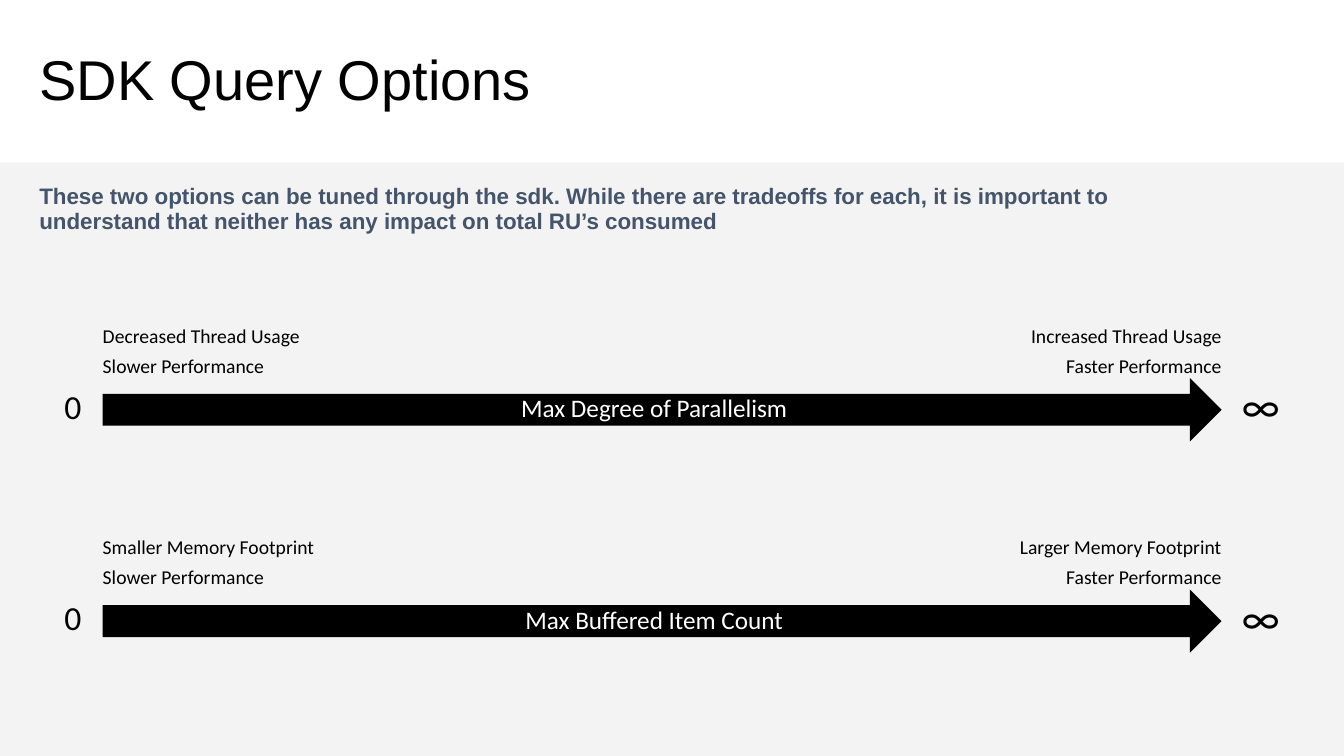
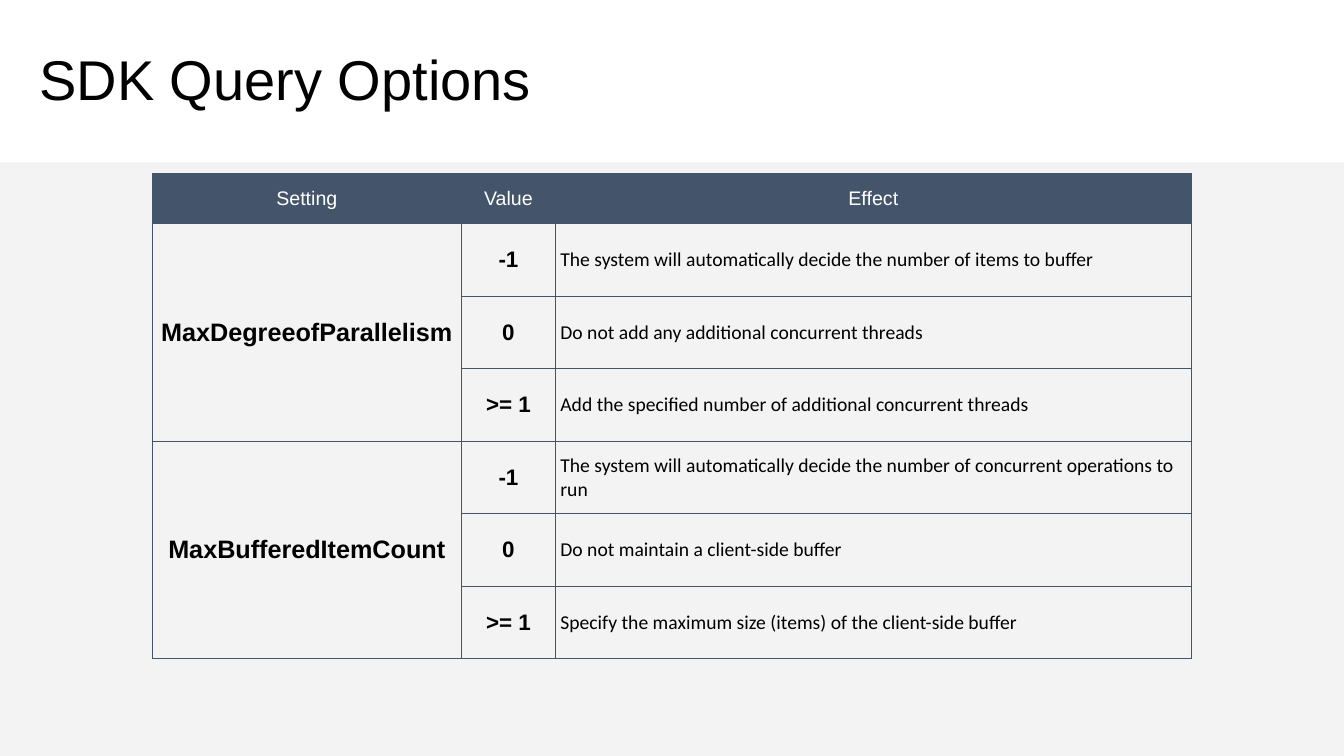
from pptx import Presentation
from pptx.dml.color import RGBColor
from pptx.enum.shapes import MSO_SHAPE
from pptx.enum.text import MSO_ANCHOR, PP_ALIGN
from pptx.oxml import parse_xml
from pptx.oxml.ns import nsdecls
from pptx.util import Pt

RECT, ARROW = MSO_SHAPE.RECTANGLE, MSO_SHAPE.RIGHT_ARROW
LEFT, MID, RIGHT = PP_ALIGN.LEFT, PP_ALIGN.CENTER, PP_ALIGN.RIGHT
TOP, CENTER = MSO_ANCHOR.TOP, MSO_ANCHOR.MIDDLE

BLACK, WHITE, SLATE, GRAY = "000000", "FFFFFF", "44546A", "F3F3F3"
HEAD, BODY = "Arial", "Calibri"
WIDE, HIGH = 960, 540
MARGIN = 21


def color(code):
    return RGBColor.from_string(code)


class Deck:
    """Holds the shared style and the current slide."""

    def __init__(self):
        self.prs = Presentation()
        self.prs.slide_width = Pt(WIDE)
        self.prs.slide_height = Pt(HIGH)
        self.slide = None

    def add(self, title):
        """Start a slide with its title and lower band."""
        self.slide = self.prs.slides.add_slide(self.prs.slide_layouts[5])
        head = self.slide.shapes.title
        head.left, head.top = Pt(MARGIN), Pt(23)
        head.width, head.height = Pt(918), Pt(71)
        self.put(head.text_frame, [title], 40, HEAD, anchor=CENTER)
        self.shape(RECT, (0, 116, WIDE, HIGH - 116), GRAY)

    def put(self, frame, lines, size, font=BODY, ink=BLACK, bold=False,
            align=LEFT, anchor=TOP, after=0, space=0.9):
        frame.word_wrap = True
        frame.vertical_anchor = anchor
        for i, line in enumerate(lines):
            para = frame.add_paragraph() if i else frame.paragraphs[0]
            para.alignment = align
            para.line_spacing = space
            para.space_before, para.space_after = Pt(0), Pt(after)
            run = para.add_run()
            run.text = line
            run.font.size, run.font.name = Pt(size), font
            run.font.bold = bold
            run.font.color.rgb = color(ink)

    def inset(self, frame, gap=0):
        frame.margin_left = frame.margin_right = Pt(gap)
        frame.margin_top = frame.margin_bottom = Pt(gap)

    def shape(self, kind, box, fill):
        shape = self.slide.shapes.add_shape(kind, *map(Pt, box))
        shape.shadow.inherit = False
        shape.fill.solid()
        shape.fill.fore_color.rgb = color(fill)
        shape.line.fill.background()
        return shape

    def text(self, box, lines, size, pad=False, **style):
        frame = self.slide.shapes.add_textbox(*map(Pt, box)).text_frame
        if not pad:
            self.inset(frame)
        self.put(frame, lines, size, **style)

    def arrow(self, box, label):
        frame = self.shape(ARROW, box, BLACK).text_frame
        self.inset(frame)
        self.put(frame, [label], 18, ink=WHITE, align=MID, anchor=CENTER)

    def table(self, left, top, cols, rows):
        """Add an empty grid from column widths and row heights."""
        grid = self.slide.shapes.add_table(
            len(rows), len(cols), Pt(left), Pt(top),
            Pt(sum(cols)), Pt(sum(rows))).table
        grid.horz_banding = False
        for col, width in zip(grid.columns, cols):
            col.width = Pt(width)
        for row, height in zip(grid.rows, rows):
            row.height = Pt(height)
        for cell in grid.iter_cells():
            cell.fill.background()
            self.border(cell)
        return grid

    def border(self, cell):
        props = cell._tc.get_or_add_tcPr()
        for i, side in enumerate("LRTB"):
            props.insert(i, parse_xml(
                f'<a:ln{side} {nsdecls("a")} w="{Pt(1)}"><a:solidFill>'
                f'<a:srgbClr val="{SLATE}"/></a:solidFill></a:ln{side}>'))

    def cell(self, cell, text, size, fill=None, **style):
        if fill:
            cell.fill.solid()
            cell.fill.fore_color.rgb = color(fill)
        self.inset(cell, 3.6)
        cell.vertical_anchor = CENTER
        self.put(cell.text_frame, [text], size, anchor=None, space=1,
                 **style)


def scales(deck):
    deck.add("SDK Query Options")
    deck.text((MARGIN, 129, 825, 60), [
        "These two options can be tuned through the sdk. While there are "
        "tradeoffs for each, it is important to understand that neither has "
        "any impact on total RU’s consumed"],
        16, pad=True, font=HEAD, ink=SLATE, bold=True)

    # Each scale: arrow label, notes at the low end, notes at the high end
    items = [
        ("Max Degree of Parallelism",
         ["Decreased Thread Usage", "Slower Performance"],
         ["Increased Thread Usage", "Faster Performance"]),
        ("Max Buffered Item Count",
         ["Smaller Memory Footprint", "Slower Performance"],
         ["Larger Memory Footprint", "Faster Performance"]),
    ]
    left, width, note = 73.4, 799.2, 212
    for i, (label, low, high) in enumerate(items):
        top = 270 + 151 * i
        deck.arrow((left, top, width, 45.4), label)
        deck.text((46, top + 8.6, 14, 26), ["0"], 24, after=6)
        deck.text((887, top + 4.4, 28, 35), ["∞"], 32, after=6)
        deck.text((left, top - 36.7, note, 36.7), low, 14, after=6)
        deck.text((left + width - note, top - 36.7, note, 36.7), high, 14,
                  align=RIGHT, after=6)


def effects(deck):
    deck.add("SDK Query Options")
    grid = deck.table(108.7, 123.8, [221, 67, 454.3], [36] + [51.8] * 6)

    # Header row
    for i, name in enumerate(["Setting", "Value", "Effect"]):
        deck.cell(grid.cell(0, i), name, 14, fill=SLATE, font=HEAD,
                  ink=WHITE, align=MID)

    # One merged setting beside its three values
    values = ["-1", "0", ">= 1"]
    groups = {
        "MaxDegreeofParallelism": [
            "The system will automatically decide the number of items to "
            "buffer",
            "Do not add any additional concurrent threads",
            "Add the specified number of additional concurrent threads"],
        "MaxBufferedItemCount": [
            "The system will automatically decide the number of concurrent "
            "operations to run",
            "Do not maintain a client-side buffer",
            "Specify the maximum size (items) of the client-side buffer"],
    }
    strong = dict(font=HEAD, bold=True, align=MID)
    row = 1
    for name, notes in groups.items():
        first = grid.cell(row, 0)
        first.merge(grid.cell(row + len(notes) - 1, 0))
        deck.cell(first, name, 18, **strong)
        for value, note in zip(values, notes):
            deck.cell(grid.cell(row, 1), value, 16, **strong)
            deck.cell(grid.cell(row, 2), note, 14)
            row += 1


def main():
    deck = Deck()
    scales(deck)
    effects(deck)
    deck.prs.save("out.pptx")


if __name__ == "__main__":
    main()
